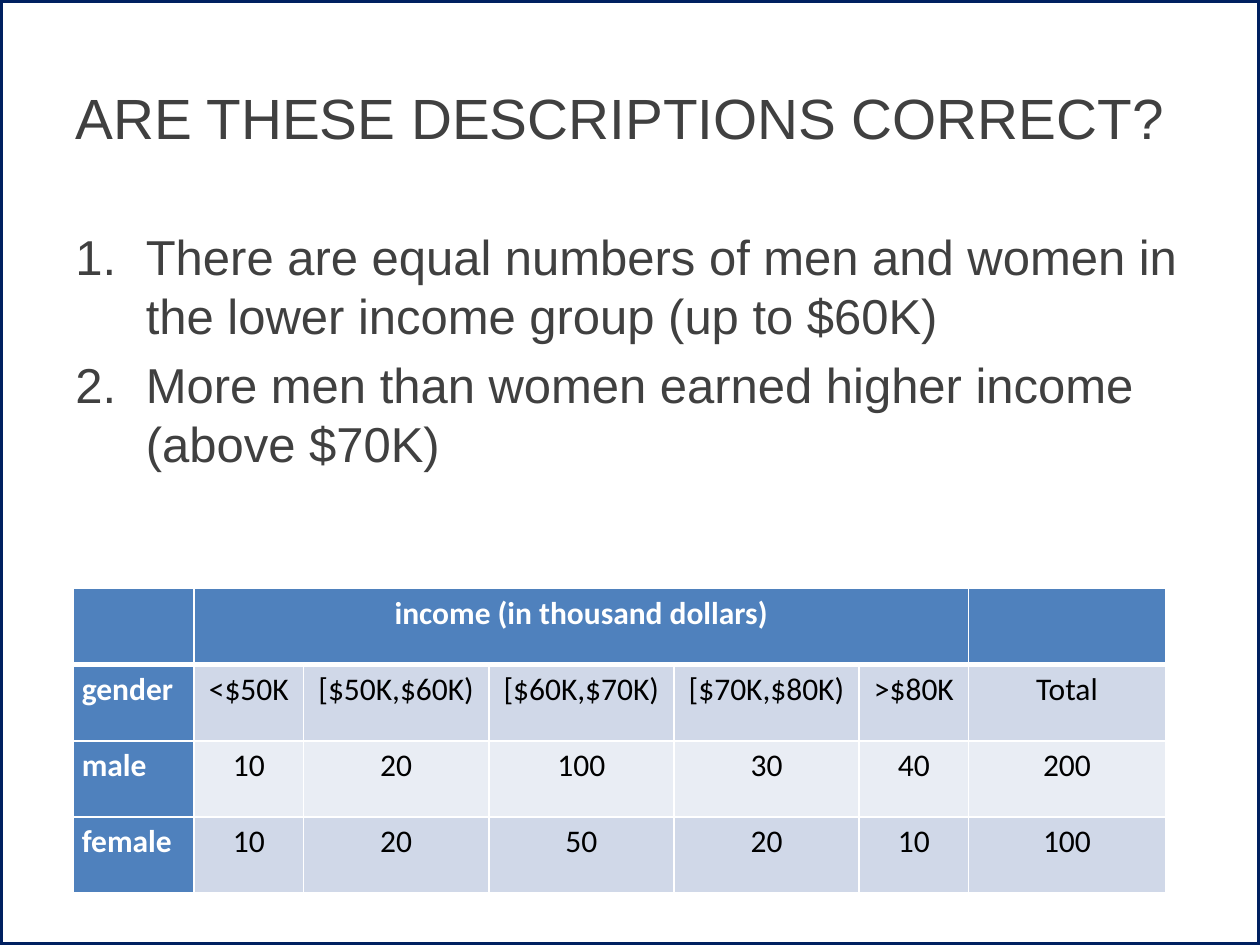
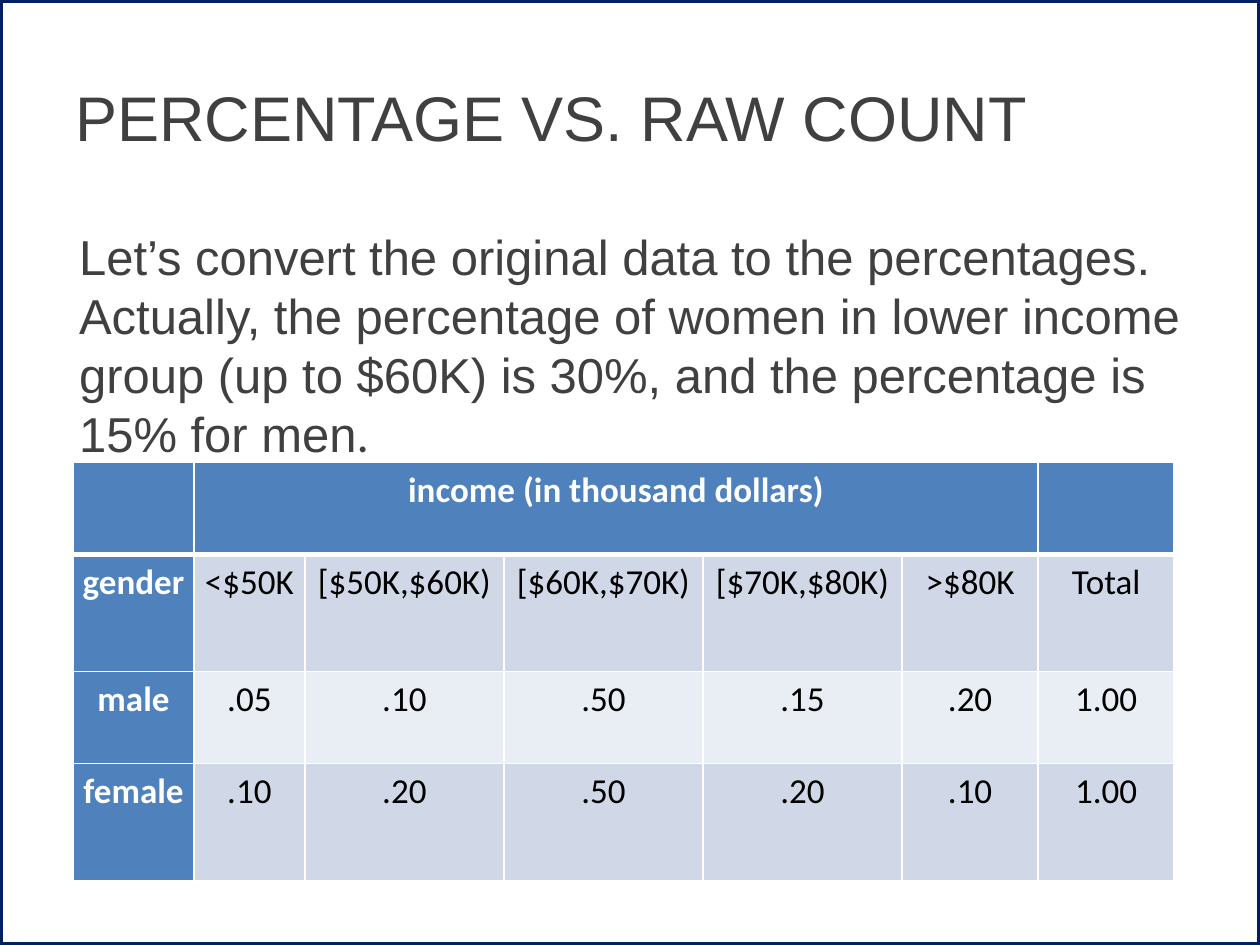
"""Build two slides that compare income by gender as counts and as shares."""
import lxml.etree
import pptx
import pptx.dml.color
import pptx.enum.shapes
import pptx.enum.text
import pptx.oxml
import pptx.oxml.ns
import pptx.util

Inches, Pt = pptx.util.Inches, pptx.util.Pt
CENTER, LEFT = pptx.enum.text.PP_ALIGN.CENTER, pptx.enum.text.PP_ALIGN.LEFT
NAVY, GRAY, BLUE, WHITE, BLACK = "002060", "404040", "4F81BD", "FFFFFF", "000000"
BANDS = ["D0D8E8", "E9EDF4"]
HEADINGS = ["gender", "<$50K", "[$50K,$60K)", "[$60K,$70K)", "[$70K,$80K)", ">$80K", "Total"]


def rgb(value):
    return pptx.dml.color.RGBColor.from_string(value)


def write(p, text, size=28, font="Arial", color=GRAY, bold=False, align=LEFT, spacing=None):
    p.alignment = align
    p.line_spacing = spacing
    r = p.add_run()
    r.text = text
    r.font.size = Pt(size)
    r.font.name = font
    r.font.bold = bold
    r.font.color.rgb = rgb(color)


slides = [
    {
        "title": "ARE THESE DESCRIPTIONS CORRECT?",
        "title_size": 32.4,
        "body_box": (0.5, 1.75, 9, 2.58),
        "numbered": True,
        "body": [
            [("There are equal numbers of men and women in the lower income group (up to $60K)", "Arial")],
            [("More men than women earned higher income (above $70K)", "Arial")],
        ],
        "table_top": 4.67,
        "widths": [0.96, 0.87, 1.47, 1.47, 1.47, 0.87, 1.56],
        "heights": [0.605] * 4,
        "table_size": 18,
        "label_align": LEFT,
        "rows": [
            ["male", "10", "20", "100", "30", "40", "200"],
            ["female", "10", "20", "50", "20", "10", "100"],
        ],
    },
    {
        "title": "PERCENTAGE VS. RAW COUNT",
        "title_size": 36,
        "body_box": (0.53, 1.75, 9.33, 1.83),
        "numbered": False,
        "body": [
            [("Let’s convert the original data to the percentages. Actually, the percentage of women "
              "in lower income group (up to $60K) is 30%, and the percentage is 15% for men", "Arial"),
             (".", "Calibri")],
        ],
        "table_top": 3.67,
        "widths": [0.96, 0.88, 1.58, 1.58, 1.58, 1.08, 1.08],
        "heights": [0.73, 0.93, 0.73, 0.93],
        "table_size": 20,
        "label_align": CENTER,
        "rows": [
            ["male", ".05", ".10", ".50", ".15", ".20", "1.00"],
            ["female", ".10", ".20", ".50", ".20", ".10", "1.00"],
        ],
    },
]

prs = pptx.Presentation()
prs.slide_width, prs.slide_height = Inches(10), Inches(7.5)

for data in slides:
    s = prs.slides.add_slide(prs.slide_layouts[6])

    sp = s.shapes.add_shape(pptx.enum.shapes.MSO_SHAPE.RECTANGLE, 0, 0, prs.slide_width, prs.slide_height)
    sp.shadow.inherit = False
    sp.fill.background()
    sp.line.color.rgb = rgb(NAVY)
    sp.line.width = Pt(3.5)

    tf = s.shapes.add_textbox(Inches(0.5), Inches(0.3), Inches(9), Inches(1.25)).text_frame
    tf.word_wrap = True
    tf.vertical_anchor = pptx.enum.text.MSO_ANCHOR.MIDDLE
    write(tf.paragraphs[0], data["title"], size=data["title_size"])

    grid = [["", "income (in thousand dollars)", "", "", "", "", ""], HEADINGS] + data["rows"]
    table = s.shapes.add_table(
        len(grid), len(HEADINGS), Inches(0.58), Inches(data["table_top"]),
        Inches(sum(data["widths"])), Inches(sum(data["heights"]))).table
    table.first_col = True
    for column, width in zip(table.columns, data["widths"]):
        column.width = Inches(width)
    for row, height in zip(table.rows, data["heights"]):
        row.height = Inches(height)
    table.cell(0, 1).merge(table.cell(0, 5))

    for i, texts in enumerate(grid):
        for j, text in enumerate(texts):
            cell = table.cell(i, j)
            is_label = i == 0 or j == 0
            cell.margin_left = cell.margin_right = Inches(0.07)
            cell.margin_top = cell.margin_bottom = 0
            tcPr = cell._tc.get_or_add_tcPr()
            for side in "LRTB":
                thick = (i, side) in [(0, "B"), (1, "T")]
                ln = lxml.etree.SubElement(tcPr, pptx.oxml.ns.qn(f"a:ln{side}"), w=str(Pt(3 if thick else 1)))
                fill = lxml.etree.SubElement(ln, pptx.oxml.ns.qn("a:solidFill"))
                lxml.etree.SubElement(fill, pptx.oxml.ns.qn("a:srgbClr"), val=WHITE)
            cell.fill.solid()
            cell.fill.fore_color.rgb = rgb(BLUE if is_label else BANDS[(i - 1) % 2])
            if text:
                write(cell.text_frame.paragraphs[0], text, size=data["table_size"], font="Calibri",
                      color=WHITE if is_label else BLACK, bold=is_label,
                      align=data["label_align"] if j == 0 else CENTER, spacing=1.15)

    tf = s.shapes.add_textbox(*map(Inches, data["body_box"])).text_frame
    tf.word_wrap = True
    for n, runs in enumerate(data["body"]):
        p = tf.add_paragraph() if n else tf.paragraphs[0]
        if n:
            p.space_before = Pt(5.6)
        for text, font in runs:
            write(p, text, font=font)
        if data["numbered"]:
            pPr = p._p.get_or_add_pPr()
            pPr.set("marL", str(Inches(0.56)))
            pPr.set("indent", str(Inches(-0.56)))
            lxml.etree.SubElement(pPr, pptx.oxml.ns.qn("a:buFont"), typeface="+mj-lt")
            lxml.etree.SubElement(pPr, pptx.oxml.ns.qn("a:buAutoNum"), type="arabicPeriod")

prs.save("out.pptx")
